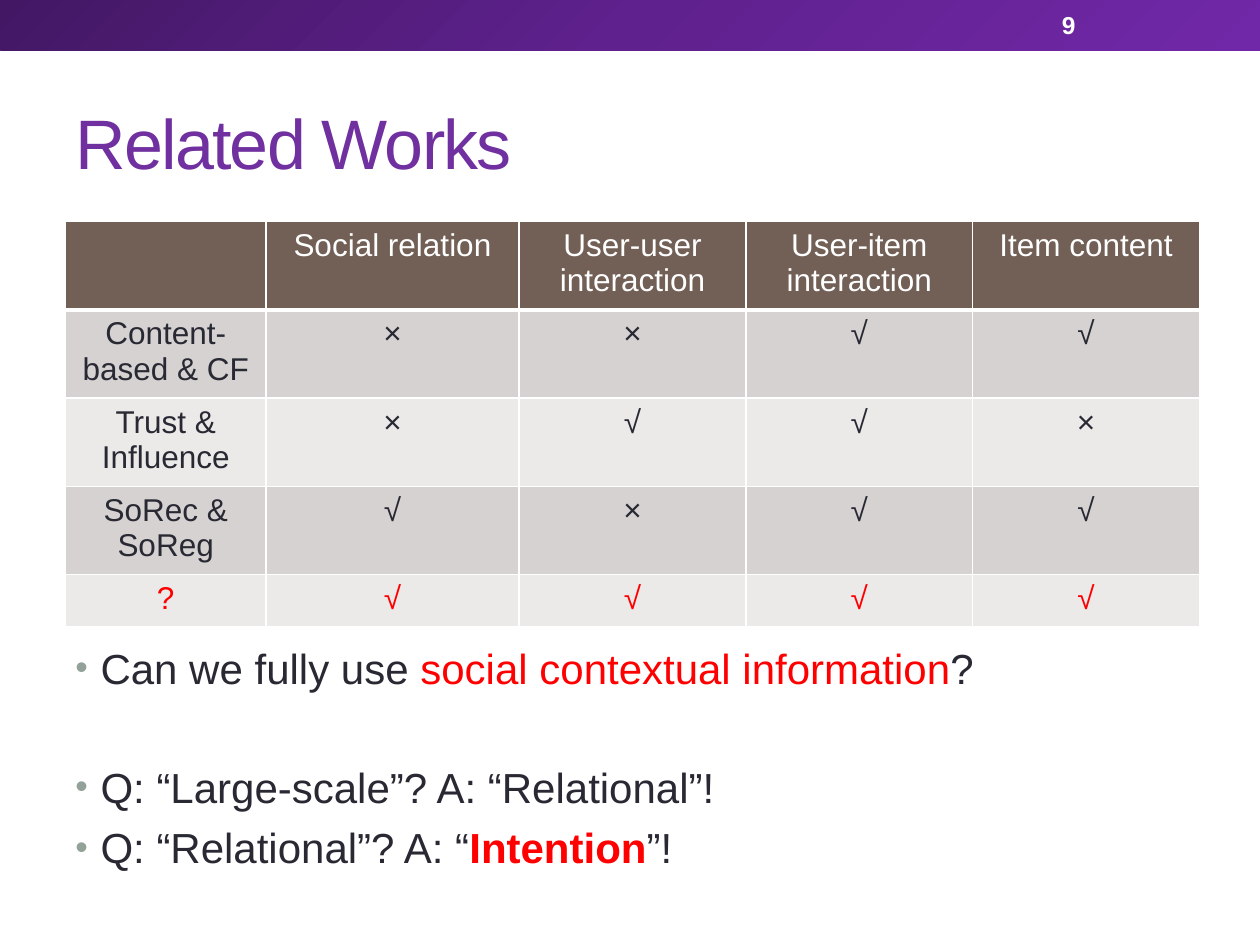
from copy import deepcopy

from lxml import etree
from pptx import Presentation
from pptx.dml.color import RGBColor
from pptx.enum import shapes, text
from pptx.oxml.ns import qn
from pptx.util import Inches, Pt

COLORS = {
    "white": "FFFFFF", "title": "7030A0", "ink": "292934", "accent": "FF0000",
    "bullet": "93A299", "header": "726056", "odd_row": "D5D2D1", "even_row": "EBEAE9",
}
BANNER_STOPS = [(0, "431764"), (0.5, "5F218E"), (1, "7128A8")]
FONT = "Arial"

COLUMN_WIDTHS = [1.59, 2.01, 1.8, 1.8, 1.8]
ROW_HEIGHTS = [0.66, 0.66, 0.66, 0.66, 0.41]
COMPARISON = [
    ["", "Social relation", "User-user interaction", "User-item interaction", "Item content"],
    ["Content-based & CF", "×", "×", "√", "√"],
    ["Trust & Influence", "×", "√", "√", "×"],
    ["SoRec & SoReg", "√", "×", "√", "√"],
    ["?", "√", "√", "√", "√"],
]

# Each question: space before in points, then runs of (wording, colour, bold)
QUESTIONS = [
    (0, [("Can we fully use ", "ink", False),
         ("social contextual information", "accent", False),
         ("?", "ink", False)]),
    (39, [("Q: “Large-scale”? A: “Relational”!", "ink", False)]),
    (5.8, [("Q: “Relational”? A: “", "ink", False),
           ("Intention", "accent", True),
           ("”!", "ink", False)]),
]


def rgb(name):
    return RGBColor.from_string(COLORS[name])


def add_run(paragraph, wording, size, color, bold=False):
    run = paragraph.add_run()
    run.text = wording
    run.font.name = FONT
    run.font.size = Pt(size)
    run.font.bold = bold
    run.font.color.rgb = rgb(color)
    return run


def add_text_frame(slide, left, top, width, height, anchor):
    box = slide.shapes.add_textbox(Inches(left), Inches(top), Inches(width), Inches(height))
    frame = box.text_frame
    frame.word_wrap = True
    frame.vertical_anchor = anchor
    return frame


def add_banner(slide):
    banner = slide.shapes.add_shape(
        shapes.MSO_SHAPE.RECTANGLE, 0, 0, Inches(10), Inches(0.4))
    banner.shadow.inherit = False
    banner.line.fill.background()
    banner.fill.gradient()
    banner.fill.gradient_angle = 315
    # The default gradient has two stops; the banner needs a third
    stop_list = next(banner.element.iter(qn("a:gsLst")))
    stop_list.append(deepcopy(stop_list[0]))
    for stop, (position, color) in zip(banner.fill.gradient_stops, BANNER_STOPS):
        stop.position = position
        stop.color.rgb = RGBColor.from_string(color)


def set_borders(cell, bottom_width):
    properties = cell._tc.get_or_add_tcPr()
    widths = {"a:lnL": 1, "a:lnR": 1, "a:lnT": 1, "a:lnB": bottom_width}
    for index, (side, width) in enumerate(widths.items()):
        line = etree.Element(qn(side), w=str(Pt(width)))
        fill = etree.SubElement(line, qn("a:solidFill"))
        etree.SubElement(fill, qn("a:srgbClr"), val=COLORS["white"])
        properties.insert(index, line)


def add_comparison(slide):
    table = slide.shapes.add_table(
        len(ROW_HEIGHTS), len(COLUMN_WIDTHS), Inches(0.52), Inches(1.76),
        Inches(sum(COLUMN_WIDTHS)), Inches(sum(ROW_HEIGHTS))).table
    for column, width in zip(table.columns, COLUMN_WIDTHS):
        column.width = Inches(width)
    for row, height in zip(table.rows, ROW_HEIGHTS):
        row.height = Inches(height)

    last = len(COMPARISON) - 1
    for r, entries in enumerate(COMPARISON):
        fill = "header" if r == 0 else "odd_row" if r % 2 else "even_row"
        color = "white" if r == 0 else "accent" if r == last else "ink"
        for c, wording in enumerate(entries):
            cell = table.cell(r, c)
            cell.fill.solid()
            cell.fill.fore_color.rgb = rgb(fill)
            set_borders(cell, 3 if r == 0 else 1)
            paragraph = cell.text_frame.paragraphs[0]
            paragraph.alignment = text.PP_ALIGN.CENTER
            if wording:
                add_run(paragraph, wording, 18, color)


def add_bullet(paragraph):
    properties = paragraph._p.get_or_add_pPr()
    properties.set("marL", str(Inches(0.2)))
    properties.set("indent", str(Inches(-0.2)))
    bullet_color = etree.SubElement(properties, qn("a:buClr"))
    etree.SubElement(bullet_color, qn("a:srgbClr"), val=COLORS["bullet"])
    etree.SubElement(properties, qn("a:buSzPct"), val="85000")
    etree.SubElement(properties, qn("a:buFont"), typeface=FONT)
    etree.SubElement(properties, qn("a:buChar"), char="•")


def add_questions(slide):
    frame = add_text_frame(slide, 0.5, 5.05, 9, 2.03, text.MSO_ANCHOR.TOP)
    for index, (space, runs) in enumerate(QUESTIONS):
        paragraph = frame.add_paragraph() if index else frame.paragraphs[0]
        paragraph.space_before = Pt(space)
        add_bullet(paragraph)
        for wording, color, bold in runs:
            add_run(paragraph, wording, 24, color, bold)


def main():
    prs = Presentation()
    prs.slide_width, prs.slide_height = Inches(10), Inches(7.5)
    slide = prs.slides.add_slide(prs.slide_layouts[6])

    # Banner with the page number
    add_banner(slide)
    number = add_text_frame(slide, 8.33, 0.02, 1.17, 0.36, text.MSO_ANCHOR.MIDDLE)
    add_run(number.paragraphs[0], "9", 14, "white", bold=True)

    # Title, slightly tightened
    title = add_text_frame(slide, 0.5, 0.58, 9, 1.08, text.MSO_ANCHOR.MIDDLE)
    title_run = add_run(title.paragraphs[0], "Related Works", 40, "title")
    title_run.font._element.set("spc", "-100")

    # Comparison of approaches and the open questions
    add_questions(slide)
    add_comparison(slide)

    prs.save("out.pptx")


if __name__ == "__main__":
    main()
